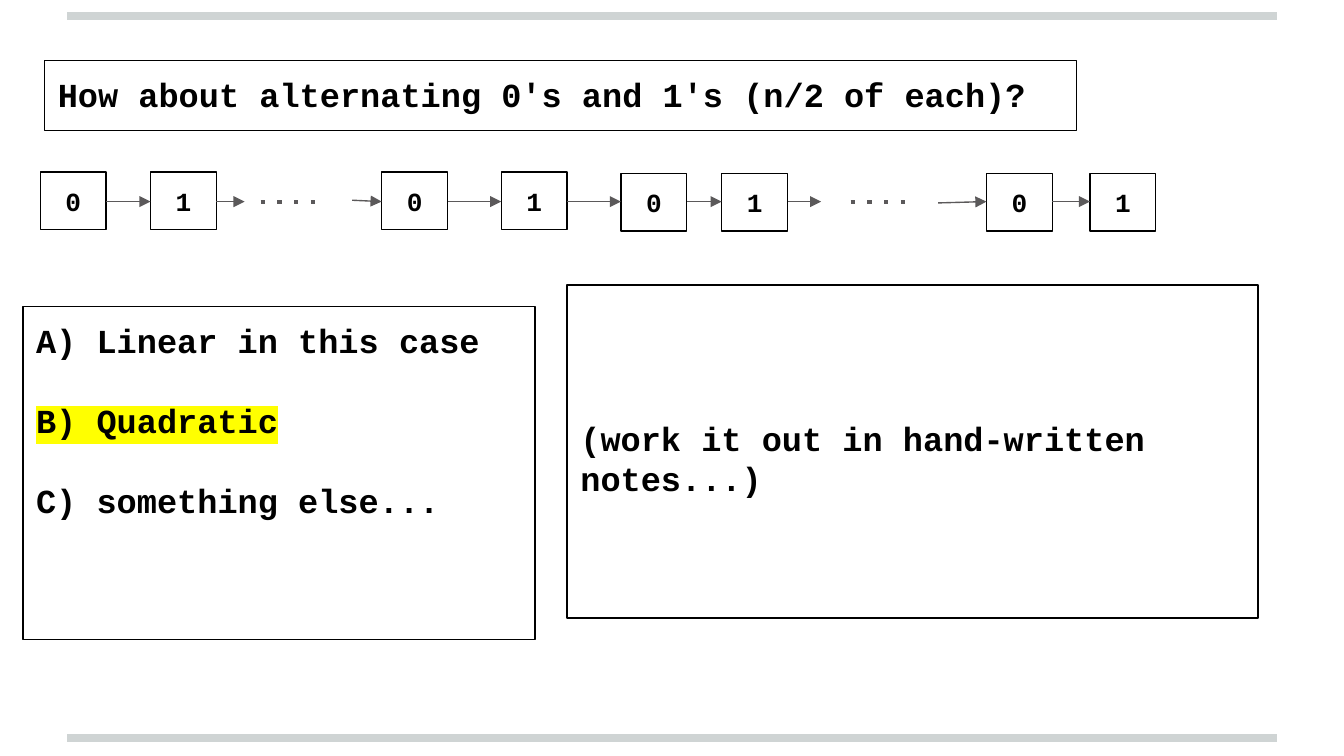
from dataclasses import dataclass

import pptx
import pptx.dml.color
import pptx.enum.shapes
import pptx.enum.text
import pptx.oxml
import pptx.oxml.ns
import pptx.util
from pptx.util import Inches

FONT = "Courier New"
BLACK = "000000"
ARROW_GREY = "5B595A"
RULE_GREY = "CFD4D4"
HIGHLIGHT = "FFFF00"

NODE_WIDTH, NODE_HEIGHT = 0.49, 0.43
LINK_Y = 1.5
INSET = 0.1


@dataclass(frozen=True)
class Node:
    left: float
    top: float
    value: str


@dataclass(frozen=True)
class Gap:
    """Elided nodes: a lead-out arrow, a dotted stretch and a lead-in arrow."""
    after: int
    lead_out_end: float
    dots_start: float
    dots_end: float
    lead_in_start: float
    lead_in_y: float


@dataclass(frozen=True)
class Line:
    text: str
    highlight: str = ""
    space_before: float = 0


NODES = [
    Node(left, 1.28 if index < 4 else 1.29, str(index % 2))
    for index, left in enumerate([0.3, 1.12, 2.84, 3.73, 4.62, 5.37, 7.34, 8.11])
]
GAPS = [
    Gap(1, 1.82, 1.94, 2.43, 2.62, 1.49),
    Gap(5, 6.11, 6.33, 6.81, 6.98, 1.51),
]


def color(hex_value: str):
    return pptx.dml.color.RGBColor.from_string(hex_value)


def add_xml(parent, tag: str, attributes: str = ""):
    xml = f"<a:{tag} {pptx.oxml.ns.nsdecls('a')} {attributes}/>"
    element = pptx.oxml.parse_xml(xml)
    parent.append(element)
    return element


def add_line(slide, start: tuple, end: tuple, hex_color: str, width: float,
             dotted: bool = False, arrow: bool = False) -> None:
    line = slide.shapes.add_connector(
        pptx.enum.shapes.MSO_CONNECTOR.STRAIGHT,
        *(Inches(value) for value in start + end))
    line.line.fill.solid()
    line.line.fill.fore_color.rgb = color(hex_color)
    line.line.width = pptx.util.Pt(width)
    outline = line.line._get_or_add_ln()
    if dotted:
        add_xml(outline, "prstDash", 'val="dot"')
    if arrow:
        add_xml(outline, "tailEnd", 'type="triangle"')
    add_xml(line._element.spPr, "effectLst")


def add_arrow(slide, start: tuple, end: tuple) -> None:
    add_line(slide, start, end, ARROW_GREY, 0.75, arrow=True)


def fill_box(box, lines: list[Line], size: float, top_inset: float = INSET,
             centered: bool = False) -> None:
    """Outline a box and write its lines."""
    box.fill.background()
    box.line.fill.solid()
    box.line.fill.fore_color.rgb = color(BLACK)
    box.line.width = pptx.util.Pt(0.75)

    frame = box.text_frame
    frame.word_wrap = True
    frame.auto_size = pptx.enum.text.MSO_AUTO_SIZE.NONE
    frame.vertical_anchor = pptx.enum.text.MSO_ANCHOR.TOP
    frame.margin_left = frame.margin_right = frame.margin_bottom = Inches(INSET)
    frame.margin_top = Inches(top_inset)

    align = pptx.enum.text.PP_ALIGN
    for index, line in enumerate(lines):
        paragraph = frame.add_paragraph() if index else frame.paragraphs[0]
        paragraph.alignment = align.CENTER if centered else align.LEFT
        if line.space_before:
            paragraph.space_before = pptx.util.Pt(line.space_before)
        run = paragraph.add_run()
        run.text = line.text
        run.font.size = pptx.util.Pt(size)
        run.font.bold = True
        run.font.color.rgb = color(BLACK)
        if line.highlight:
            mark = add_xml(run._r.get_or_add_rPr(), "highlight")
            add_xml(mark, "srgbClr", f'val="{line.highlight}"')
        run.font.name = FONT


def add_box(slide, left: float, top: float, width: float, height: float,
            lines: list[Line], size: float, top_inset: float = INSET,
            centered: bool = False) -> None:
    box = slide.shapes.add_shape(
        pptx.enum.shapes.MSO_SHAPE.RECTANGLE,
        Inches(left), Inches(top), Inches(width), Inches(height))
    box.shadow.inherit = False
    fill_box(box, lines, size, top_inset, centered)


def add_list(slide) -> None:
    """Draw the linked list of alternating values."""
    for node in NODES:
        add_box(slide, node.left, node.top, NODE_WIDTH, NODE_HEIGHT,
                [Line(node.value)], 14, centered=True)

    gaps = {gap.after: gap for gap in GAPS}
    for index, (node, following) in enumerate(zip(NODES, NODES[1:])):
        start = (node.left + NODE_WIDTH, LINK_Y)
        end = (following.left, LINK_Y)
        gap = gaps.get(index)
        if gap is None:
            add_arrow(slide, start, end)
            continue
        add_arrow(slide, start, (gap.lead_out_end, LINK_Y))
        add_line(slide, (gap.dots_start, LINK_Y), (gap.dots_end, LINK_Y),
                 ARROW_GREY, 2.25, dotted=True)
        add_arrow(slide, (gap.lead_in_start, gap.lead_in_y), end)


def main() -> None:
    deck = pptx.Presentation()
    # Widescreen, 16:9
    deck.slide_width = Inches(10)
    deck.slide_height = deck.slide_width * 9 // 16
    slide = deck.slides.add_slide(deck.slide_layouts[5])

    # Rules along the top and bottom edges
    for y in (0.12, 5.49):
        add_line(slide, (0.5, y), (9.5, y), RULE_GREY, 4)

    # Question
    question = slide.shapes.title
    question.left, question.top = Inches(0.33), Inches(0.45)
    question.width, question.height = Inches(7.68), Inches(0.52)
    fill_box(question,
             [Line("How about alternating 0's and 1's (n/2 of each)?")], 18)

    add_list(slide)

    # Answer choices, with the right one marked
    choices = [
        Line("A) Linear in this case"),
        Line("B) Quadratic", HIGHLIGHT, space_before=21.4),
        Line("C) something else...", space_before=21.4),
    ]
    add_box(slide, 0.17, 2.28, 3.81, 2.48, choices, 18)

    # Working space
    add_box(slide, 4.22, 2.12, 5.14, 2.48,
            [Line("(work it out in hand-written notes...)")], 18, top_inset=0.99)

    deck.save("out.pptx")


if __name__ == "__main__":
    main()
